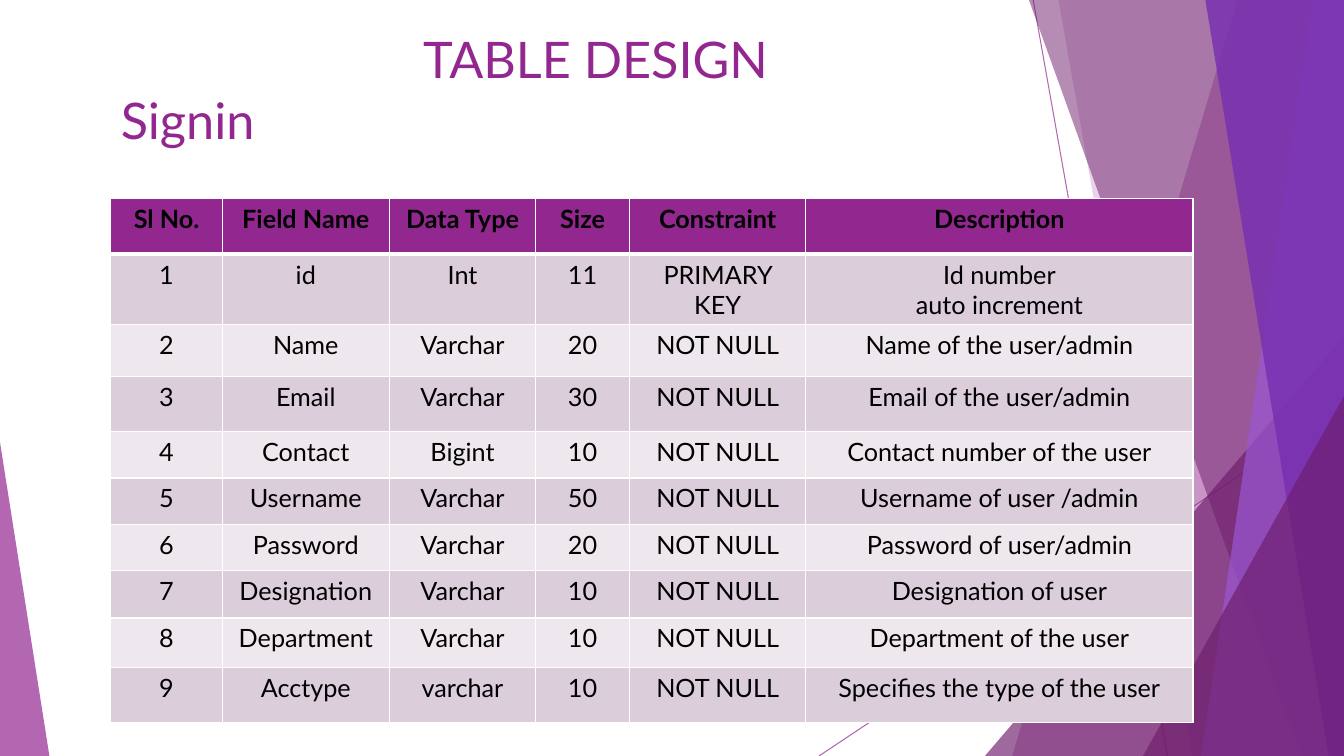
from lxml.etree import SubElement
from pptx import Presentation
from pptx.dml.color import RGBColor
from pptx.enum.shapes import MSO_CONNECTOR as Connector, MSO_SHAPE as Shape
from pptx.enum.text import MSO_ANCHOR as Anchor, PP_ALIGN as Align
from pptx.oxml.ns import qn
from pptx.util import Pt

PURPLE = RGBColor(0x92, 0x27, 0x8F)
PLUM = RGBColor(0x6D, 0x1D, 0x6B)
VIOLET = RGBColor(0x9B, 0x57, 0xD3)
INDIGO = RGBColor(0x76, 0x2E, 0xB1)
BAND_DARK = RGBColor(0xDC, 0xCD, 0xDB)
BAND_LIGHT = RGBColor(0xEE, 0xE8, 0xEE)
BLACK = RGBColor(0, 0, 0)
WHITE = RGBColor(0xFF, 0xFF, 0xFF)
FONT = "Lato"
SLIDE_W, SLIDE_H = 960, 540

COLUMN_WIDTHS = [79.5, 119.5, 104.5, 67, 126, 276.5]
ROW_HEIGHTS = [39.6, 50.4, 36.8, 39.6, 33, 33, 33, 34, 35.3, 39.6]
HEADINGS = ["Sl No.", "Field Name", "Data Type", "Size", "Constraint", "Description"]
FIELDS = [
    ("id", "Int", 11, "PRIMARY KEY", "Id number\nauto increment"),
    ("Name", "Varchar", 20, "NOT NULL", "Name of the user/admin"),
    ("Email", "Varchar", 30, "NOT NULL", "Email of the user/admin"),
    ("Contact", "Bigint", 10, "NOT NULL", "Contact number of the user"),
    ("Username", "Varchar", 50, "NOT NULL", "Username of user /admin"),
    ("Password", "Varchar", 20, "NOT NULL", "Password of user/admin"),
    ("Designation", "Varchar", 10, "NOT NULL", "Designation of user"),
    ("Department", "Varchar", 10, "NOT NULL", "Department of the user"),
    ("Acctype", "varchar", 10, "NOT NULL", "Specifies the type of the user"),
]


def write_text(frame, text, size=18, color=BLACK, bold=False, align=Align.CENTER, first_indent=0):
    """Fill a text frame with evenly formatted paragraphs."""
    frame.text = text
    for paragraph in frame.paragraphs:
        paragraph.alignment = align
        paragraph._p.get_or_add_pPr().set("indent", str(Pt(first_indent)))
        for run in paragraph.runs:
            font = run.font
            font.name, font.size, font.bold = FONT, Pt(size), bold
            font.color.rgb = color


def set_opacity(part, percent):
    """Make the solid colour of a fill or line partly transparent."""
    for solid in part._element.spPr.iter(qn("a:srgbClr")):
        SubElement(solid, qn("a:alpha"), val=str(percent * 1000))


def paint(part, color, opacity):
    """Give a decorative shape a translucent fill without outline or shadow."""
    part.shadow.inherit = False
    part.fill.solid()
    part.fill.fore_color.rgb = color
    part.line.fill.background()
    set_opacity(part, opacity)


def add_wedge(slide, left, top, width, height, color, opacity, apex):
    """Draw a right triangle whose apex is at 0 (left) or 1 (right)."""
    wedge = slide.shapes.add_shape(
        Shape.ISOSCELES_TRIANGLE, Pt(left), Pt(top), Pt(width), Pt(height))
    wedge.adjustments[0] = apex
    paint(wedge, color, opacity)


def add_facets(slide, left, top, width, height):
    """Layer the crossing lines and facets against the right edge."""
    right, bottom = left + width, top + height

    def ray(start_x, start_y, end_x):
        line = slide.shapes.add_connector(
            Connector.STRAIGHT, Pt(left + start_x), Pt(top + start_y), Pt(left + end_x), Pt(bottom))
        line.line.color.rgb = PURPLE
        line.line.width = Pt(0.75)
        set_opacity(line, 70)
        SubElement(line._element.spPr, qn("a:effectLst"))

    def facet(top_x, bottom_x, color, opacity):
        outline = slide.shapes.build_freeform(Pt(left + top_x), Pt(top))
        corners = [(right, top), (right, bottom), (left + bottom_x, bottom)]
        outline.add_line_segments([(Pt(x), Pt(y)) for x, y in corners])
        paint(outline.convert_to_shape(), color, opacity)

    def corner(start_x, start_y):
        add_wedge(slide, left + start_x, top + start_y, width - start_x, height - start_y,
                  PLUM, 66, apex=1)

    ray(153, 0, 249)
    ray(width, 290, 0)
    facet(299, 138, PURPLE, 36)
    facet(171, 267, PURPLE, 20)
    corner(118.5, 240)
    facet(150, 344.5, PLUM, 50)
    facet(353, 273, VIOLET, 70)
    facet(276, 364, INDIGO, 80)
    corner(231.5, 283)


def add_title(slide, left, top, width, height):
    """Place the two-line heading with its first line indented."""
    frame = slide.shapes.add_textbox(Pt(left), Pt(top), Pt(width), Pt(height)).text_frame
    frame.word_wrap = True
    frame.vertical_anchor = Anchor.TOP
    write_text(frame, "TABLE DESIGN \vSignin", size=36, color=PURPLE,
               align=Align.LEFT, first_indent=216)


def style_cell(cell, color, top_border=1, bottom_border=1):
    """Give a cell white borders and a solid fill."""
    properties = cell._tc.get_or_add_tcPr()
    borders = {"a:lnL": 1, "a:lnR": 1, "a:lnT": top_border, "a:lnB": bottom_border}
    for side, weight in borders.items():
        border = SubElement(properties, qn(side), w=str(Pt(weight)))
        solid = SubElement(border, qn("a:solidFill"))
        SubElement(solid, qn("a:srgbClr"), val=str(WHITE))
    cell.fill.solid()
    cell.fill.fore_color.rgb = color


def add_field_table(slide, left, top):
    """List the fields of the sign-in table in banded rows."""
    table = slide.shapes.add_table(
        len(ROW_HEIGHTS), len(COLUMN_WIDTHS), Pt(left), Pt(top),
        Pt(sum(COLUMN_WIDTHS)), Pt(sum(ROW_HEIGHTS))).table
    table.horz_banding = False
    for column, width in zip(table.columns, COLUMN_WIDTHS):
        column.width = Pt(width)
    for row, height in zip(table.rows, ROW_HEIGHTS):
        row.height = Pt(height)
    records = [HEADINGS] + [(number, *field) for number, field in enumerate(FIELDS, 1)]
    for index, record in enumerate(records):
        heading = index == 0
        color = PURPLE if heading else BAND_DARK if index % 2 else BAND_LIGHT
        for cell, value in zip(table.rows[index].cells, record):
            style_cell(cell, color, top_border=3 if index == 1 else 1,
                       bottom_border=3 if heading else 1)
            write_text(cell.text_frame, str(value), bold=heading)


def main():
    """Build the slide and save it."""
    deck = Presentation()
    deck.slide_width, deck.slide_height = Pt(SLIDE_W), Pt(SLIDE_H)
    slide = deck.slides.add_slide(deck.slide_layouts[6])
    add_facets(slide, 585, 0, SLIDE_W - 585, SLIDE_H)
    add_wedge(slide, 0, 316, 35.3, SLIDE_H - 316, PURPLE, 70, apex=0)
    add_title(slide, 79.2, 16.6, 676.8, 103.7)
    add_field_table(slide, 79.2, 142)
    deck.save("out.pptx")


main()
